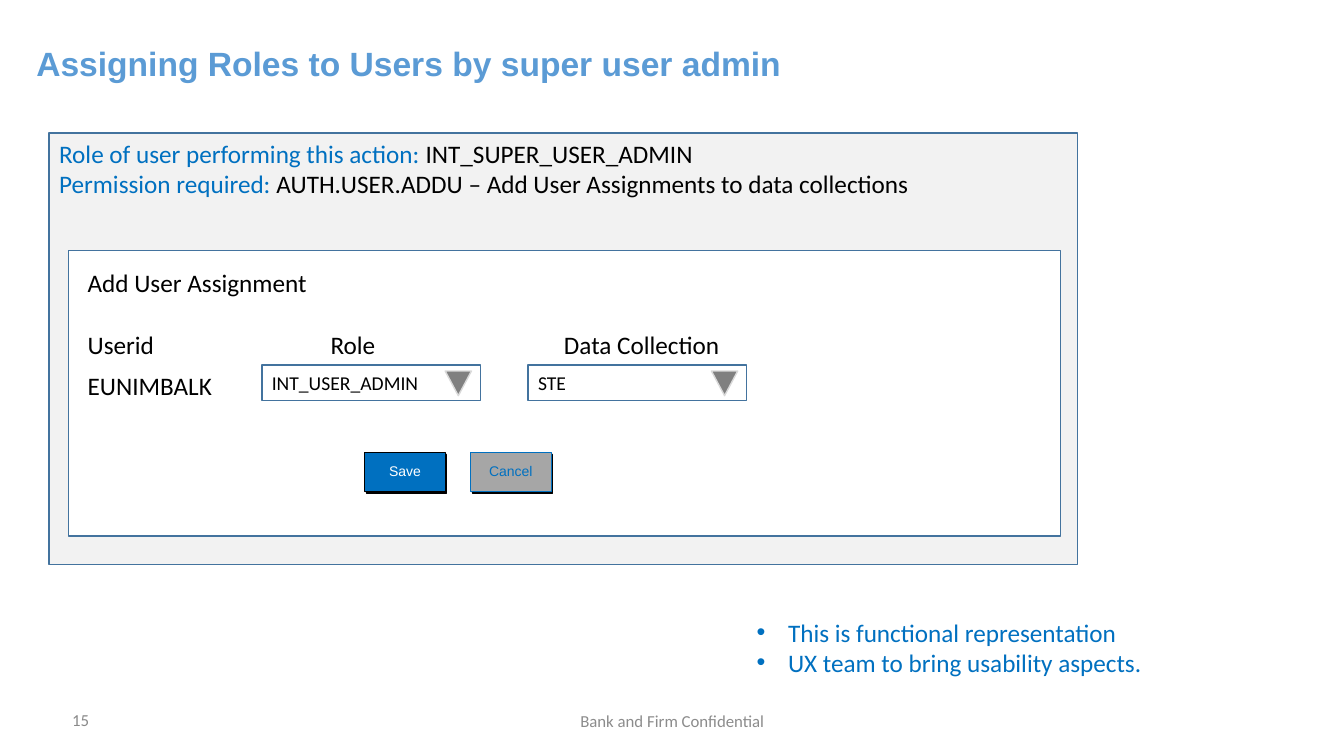
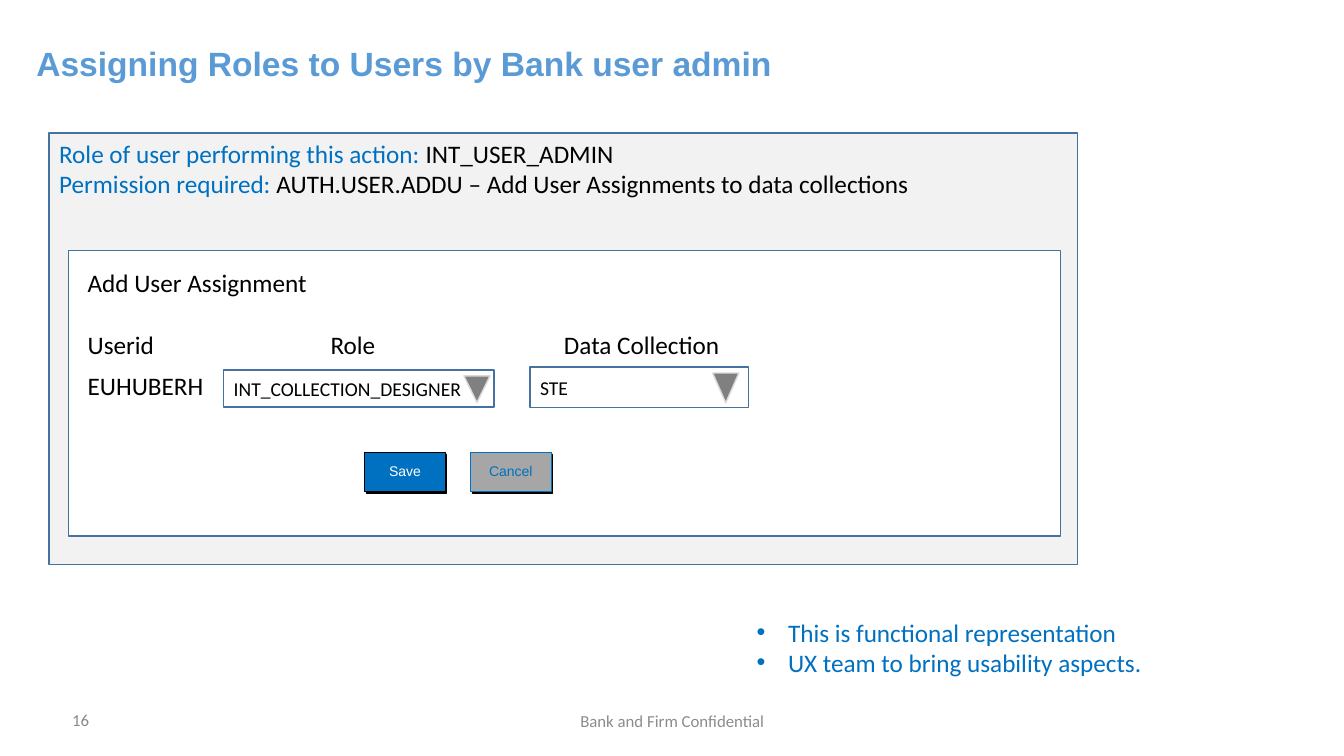
from dataclasses import dataclass

from lxml import etree
from pptx import Presentation
from pptx.dml.color import RGBColor
from pptx.enum import shapes, text
from pptx.oxml.ns import qn
from pptx.util import Cm, Pt


@dataclass(frozen=True)
class Theme:
    title: RGBColor = RGBColor(0x5B, 0x9B, 0xD5)
    accent: RGBColor = RGBColor(0x00, 0x70, 0xC0)
    outline: RGBColor = RGBColor(0x43, 0x73, 0x9E)
    black: RGBColor = RGBColor(0x00, 0x00, 0x00)
    white: RGBColor = RGBColor(0xFF, 0xFF, 0xFF)
    panel: RGBColor = RGBColor(0xF2, 0xF2, 0xF2)
    disabled: RGBColor = RGBColor(0xA6, 0xA6, 0xA6)
    arrow: RGBColor = RGBColor(0x80, 0x80, 0x80)
    arrow_edge: RGBColor = RGBColor(0xD9, 0xD9, 0xD9)
    footer: RGBColor = RGBColor(0x8C, 0x8C, 0x8C)
    number: RGBColor = RGBColor(0x89, 0x89, 0x89)
    heading_font: str = "Arial"
    body_font: str = "Calibri"
    title_size: Pt = Pt(24)
    body_size: Pt = Pt(18)
    field_size: Pt = Pt(14)
    footer_size: Pt = Pt(12)
    button_size: Pt = Pt(10)


theme = Theme()
LEFT, CENTER = text.PP_ALIGN.LEFT, text.PP_ALIGN.CENTER
TOP, MIDDLE = text.MSO_ANCHOR.TOP, text.MSO_ANCHOR.MIDDLE
RECTANGLE = shapes.MSO_SHAPE.RECTANGLE
TRIANGLE = shapes.MSO_SHAPE.ISOSCELES_TRIANGLE

FORM_LEFT = 1.96
HEADER_TOP = 8.18
LINE_HEIGHT = 1.02
ARROW_WIDTH = 0.66

# Each field: value, left, top, width, height, gap right of the arrow (cm)
PAGES = [
    {
        "number": "15",
        "title": "Assigning Roles to Users by super user admin",
        "role": "INT_SUPER_USER_ADMIN",
        "userid": "EUNIMBALK",
        "fields": [
            ("INT_USER_ADMIN", 6.6, 9.2, 5.51, 0.89, 0.23),
            ("STE", 13.31, 9.2, 5.51, 0.89, 0.23),
        ],
    },
    {
        "number": "16",
        "title": "Assigning Roles to Users by Bank user admin",
        "role": "INT_USER_ADMIN",
        "userid": "EUHUBERH",
        "fields": [
            ("INT_COLLECTION_DESIGNER", 5.64, 9.32, 6.81, 0.94, 0.1),
            ("STE", 13.36, 9.25, 5.51, 1.02, 0.25),
        ],
    },
]
BUTTONS = [
    ("Save", theme.accent, theme.black, theme.white),
    ("Cancel", theme.disabled, theme.accent, theme.accent),
]
NOTES = ["This is functional representation", "UX team to bring usability aspects."]


def add_box(slide, box, fill, line, line_width=1, kind=RECTANGLE):
    shape = slide.shapes.add_shape(kind, *map(Cm, box))
    shape.shadow.inherit = False
    shape.fill.solid()
    shape.fill.fore_color.rgb = fill
    shape.line.color.rgb = line
    shape.line.width = Pt(line_width)
    return shape


def write(shape, lines, size=theme.body_size, color=theme.black,
          font=theme.body_font, align=LEFT, anchor=TOP):
    """Fill the shape with one paragraph per line, all in one style."""
    frame = shape.text_frame
    frame.word_wrap = True
    frame.auto_size = text.MSO_AUTO_SIZE.NONE
    frame.vertical_anchor = anchor
    frame.text = "\n".join(lines)
    for paragraph in frame.paragraphs:
        paragraph.alignment = align
        paragraph.font.size = size
        paragraph.font.name = font
        paragraph.font.color.rgb = color
    return frame


presentation = Presentation()
presentation.slide_width, presentation.slide_height = Cm(33.87), Cm(19.05)
title_only = presentation.slide_layouts[5]

for page in PAGES:
    slide = presentation.slides.add_slide(title_only)

    title = slide.shapes.title
    title.left, title.top, title.width, title.height = map(Cm, (0.66, 1.07, 29.34, 1.45))
    frame = write(title, [page["title"]], theme.title_size, theme.title,
                  theme.heading_font, text.PP_ALIGN.JUSTIFY)
    frame.paragraphs[0].font.bold = True
    frame.paragraphs[0].line_spacing = 0.9

    # Panel with the role and permission, and the form inside it
    panel = add_box(slide, (1.24, 3.35, 25.91, 10.87), theme.panel, theme.outline)
    frame = write(panel, ["Role of user performing this action: ", "Permission required: "],
                  color=theme.accent)
    values = [page["role"], "AUTH.USER.ADDU – Add User Assignments to data collections"]
    for paragraph, value in zip(frame.paragraphs, values):
        run = paragraph.add_run()
        run.text = value
        run.font.color.rgb = theme.black
    add_box(slide, (1.73, 6.32, 24.99, 7.19), theme.white, theme.outline)

    labels = [
        ("Add User Assignment", FORM_LEFT, 6.6, 7.24, LEFT),
        ("Userid", FORM_LEFT, HEADER_TOP, 3.94, LEFT),
        (page["userid"], FORM_LEFT, HEADER_TOP + LINE_HEIGHT, 5.28, LEFT),
        ("Role", 8.08, HEADER_TOP, 3.94, LEFT),
        ("Data Collection", 13.59, HEADER_TOP, 5.16, CENTER),
    ]
    for label, left, top, width, align in labels:
        shape = slide.shapes.add_textbox(Cm(left), Cm(top), Cm(width), Cm(LINE_HEIGHT))
        write(shape, [label], align=align)

    # Drop-down fields
    for value, left, top, width, height, gap in page["fields"]:
        field = add_box(slide, (left, top, width, height), theme.white, theme.outline)
        write(field, [value], theme.field_size, anchor=MIDDLE)
        arrow_left = left + width - gap - ARROW_WIDTH
        arrow = add_box(slide, (arrow_left, top + 0.15, ARROW_WIDTH, height - 0.27),
                        theme.arrow, theme.arrow_edge, kind=TRIANGLE)
        arrow.rotation = 180

    # Buttons with a hard shadow to the lower right
    for index, (label, fill, line, color) in enumerate(BUTTONS):
        button = add_box(slide, (9.19 + 2.67 * index, 11.4, 2.03, 0.99), fill, line, 0.25)
        frame = write(button, [label], theme.button_size, color, theme.heading_font,
                      CENTER, MIDDLE)
        frame.paragraphs[0].line_spacing = 0.9
        frame.margin_left = frame.margin_right = Cm(0.2)
        frame.margin_top = frame.margin_bottom = Cm(0.1)
        effects = button._element.spPr.find(qn("a:effectLst"))
        shadow = etree.SubElement(effects, qn("a:outerShdw"), dist=str(Pt(1.4)),
                                  dir="2700000", algn="ctr", rotWithShape="0")
        etree.SubElement(shadow, qn("a:srgbClr"), val=str(theme.black))

    notes = slide.shapes.add_textbox(Cm(18.82), Cm(15.42), Cm(11.4), Cm(1.8))
    for paragraph in write(notes, NOTES, color=theme.accent).paragraphs:
        properties = paragraph._p.get_or_add_pPr()
        properties.set("marL", str(Cm(0.79)))
        properties.set("indent", str(-Cm(0.79)))
        bullet_font = etree.Element(qn("a:buFont"), typeface=theme.heading_font)
        bullet = etree.Element(qn("a:buChar"), char="•")
        defaults = properties.find(qn("a:defRPr"))
        defaults.addprevious(bullet_font)
        defaults.addprevious(bullet)

    footers = [
        ("Bank and Firm Confidential", 11.23, 17.65, 11.43, theme.footer, CENTER),
        (page["number"], 1.57, 17.63, 7.62, theme.number, LEFT),
    ]
    for label, left, top, width, color, align in footers:
        shape = slide.shapes.add_textbox(Cm(left), Cm(top), Cm(width), Cm(LINE_HEIGHT))
        write(shape, [label], theme.footer_size, color, align=align, anchor=MIDDLE)

presentation.save("out.pptx")
